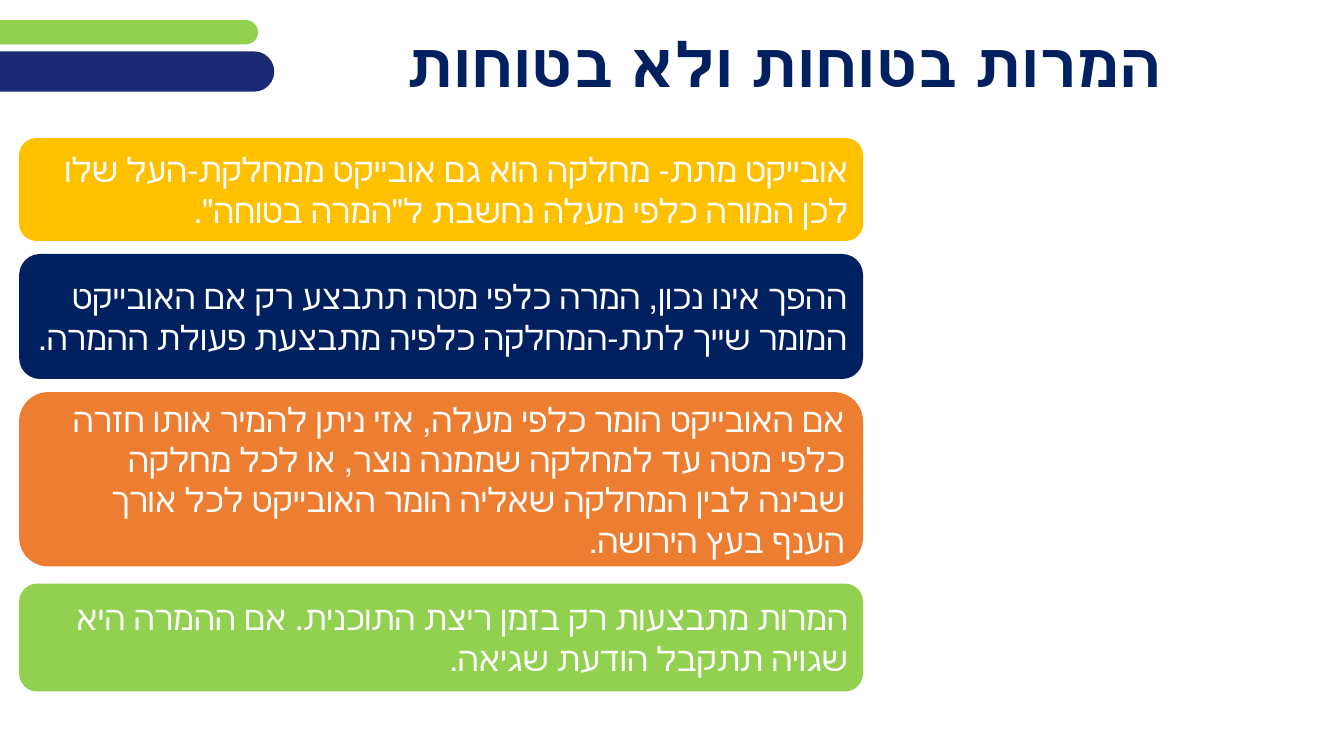
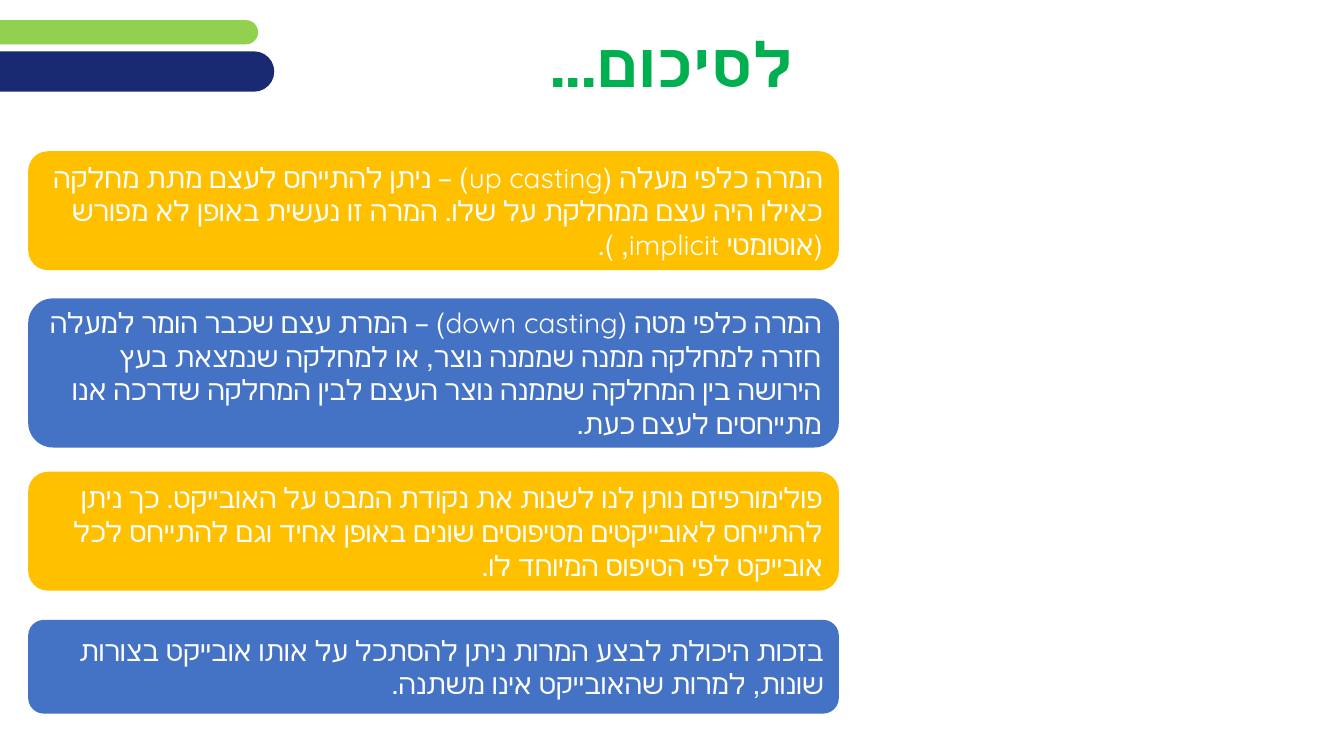
"""Build two Hebrew slides on safe and unsafe casting."""
from pptx import Presentation
from pptx.dml.color import RGBColor
from pptx.enum.lang import MSO_LANGUAGE_ID
from pptx.enum.shapes import MSO_SHAPE as SHAPE
from pptx.enum.text import MSO_ANCHOR, PP_ALIGN
from pptx.util import Inches, Pt

FONT = "Quicksand"
WHITE, NAVY, GREEN = "FFFFFF", "002060", "00B050"
LIME, GOLD, ORANGE, BLUE, INDIGO = "92D050", "FFC000", "ED7D31", "4472C4", "192A72"

BANDS = [((-0.28, 0.2, 2.84, 0.24), LIME), ((-0.53, 0.51, 3.25, 0.4), INDIGO)]
TITLE_TOP, TITLE_HEIGHT, TITLE_SIZE = 0.23, 0.79, 44

SLIDES = [
    {
        "title": "המרות בטוחות ולא בטוחות",
        "title_color": NAVY, "title_align": PP_ALIGN.RIGHT, "title_width": 11.63,
        "left": 0.19, "width": 8.37, "size": 24,
        "cards": [
            (1.37, 1.02, GOLD, "אובייקט מתת- מחלקה הוא גם אובייקט ממחלקת-העל שלו "
             "לכן המורה כלפי מעלה נחשבת ל\"המרה בטוחה\"."),
            (2.52, 1.24, NAVY, "ההפך אינו נכון, המרה כלפי מטה תתבצע רק אם האובייקט "
             "המומר שייך לתת-המחלקה כלפיה מתבצעת פעולת ההמרה."),
            (3.89, 1.73, ORANGE, "אם האובייקט הומר כלפי מעלה, אזי ניתן להמיר אותו חזרה "
             "כלפי מטה עד למחלקה שממנה נוצר, או לכל מחלקה שבינה לבין המחלקה "
             "שאליה הומר האובייקט לכל אורך הענף בעץ הירושה."),
            (5.79, 1.07, LIME, "המרות מתבצעות רק בזמן ריצת התוכנית. אם ההמרה היא "
             "שגויה תתקבל הודעת שגיאה."),
        ],
    },
    {
        "title": "לסיכום...",
        "title_color": GREEN, "title_align": PP_ALIGN.CENTER, "title_width": 13.33,
        "left": 0.28, "width": 8.04, "size": 20,
        "cards": [
            (1.5, 1.18, GOLD, "המרה כלפי מעלה (up casting) – ניתן להתייחס לעצם מתת מחלקה "
             "כאילו היה עצם ממחלקת על שלו. המרה זו נעשית באופן לא מפורש "
             "(אוטומטי implicit, )."),
            (2.96, 1.48, BLUE, "המרה כלפי מטה (down casting) – המרת עצם שכבר הומר למעלה "
             "חזרה למחלקה ממנה שממנה נוצר, או למחלקה שנמצאת בעץ הירושה בין "
             "המחלקה שממנה נוצר העצם לבין המחלקה שדרכה אנו מתייחסים לעצם כעת."),
            (4.68, 1.18, GOLD, "פולימורפיזם נותן לנו לשנות את נקודת המבט על האובייקט. "
             "כך ניתן להתייחס לאובייקטים מטיפוסים שונים באופן אחיד וגם להתייחס "
             "לכל אובייקט לפי הטיפוס המיוחד לו."),
            (6.15, 0.93, BLUE, "בזכות היכולת לבצע המרות ניתן להסתכל על אותו אובייקט "
             "בצורות שונות, למרות שהאובייקט אינו משתנה."),
        ],
    },
]


def rgb(color):
    return RGBColor.from_string(color)


def add_block(s, kind, box, color):
    sp = s.shapes.add_shape(kind, *map(Inches, box))
    sp.shadow.inherit = False
    sp.fill.solid()
    sp.fill.fore_color.rgb = rgb(color)
    sp.line.fill.background()
    return sp


def set_text(sp, text, size, color, align=PP_ALIGN.RIGHT, bold=False):
    tf = sp.text_frame
    tf.text = text
    tf.word_wrap = True
    tf.vertical_anchor = MSO_ANCHOR.MIDDLE
    p = tf.paragraphs[0]
    p.alignment = align
    p._p.get_or_add_pPr().set("rtl", "1")
    font = p.runs[0].font
    font.name, font.size, font.bold = FONT, Pt(size), bold
    font.color.rgb = rgb(color)
    font.language_id = MSO_LANGUAGE_ID.HEBREW


def add_slide(prs, content):
    s = prs.slides.add_slide(prs.slide_layouts[6])
    for box, color in BANDS:
        add_block(s, SHAPE.ROUNDED_RECTANGLE, box, color).adjustments[0] = 0.5
    title_box = (0, TITLE_TOP, content["title_width"], TITLE_HEIGHT)
    title = s.shapes.add_textbox(*map(Inches, title_box))
    set_text(title, content["title"], TITLE_SIZE, content["title_color"],
             content["title_align"], bold=True)
    for top, height, color, text in content["cards"]:
        box = (content["left"], top, content["width"], height)
        card = add_block(s, SHAPE.FLOWCHART_ALTERNATE_PROCESS, box, color)
        set_text(card, text, content["size"], WHITE)


def main():
    prs = Presentation()
    prs.slide_width, prs.slide_height = Inches(13.33), Inches(7.5)
    for content in SLIDES:
        add_slide(prs, content)
    prs.save("out.pptx")


if __name__ == "__main__":
    main()
